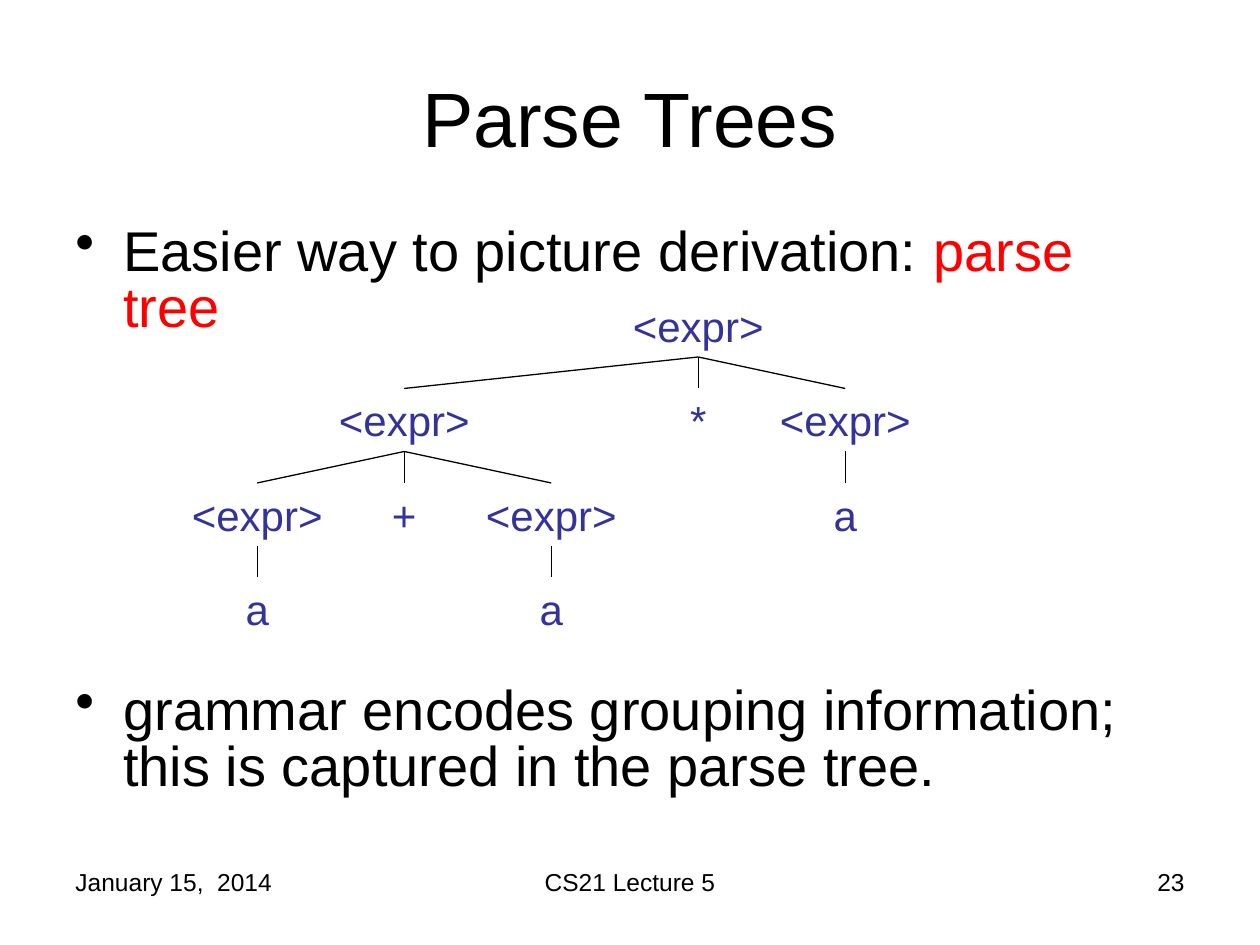
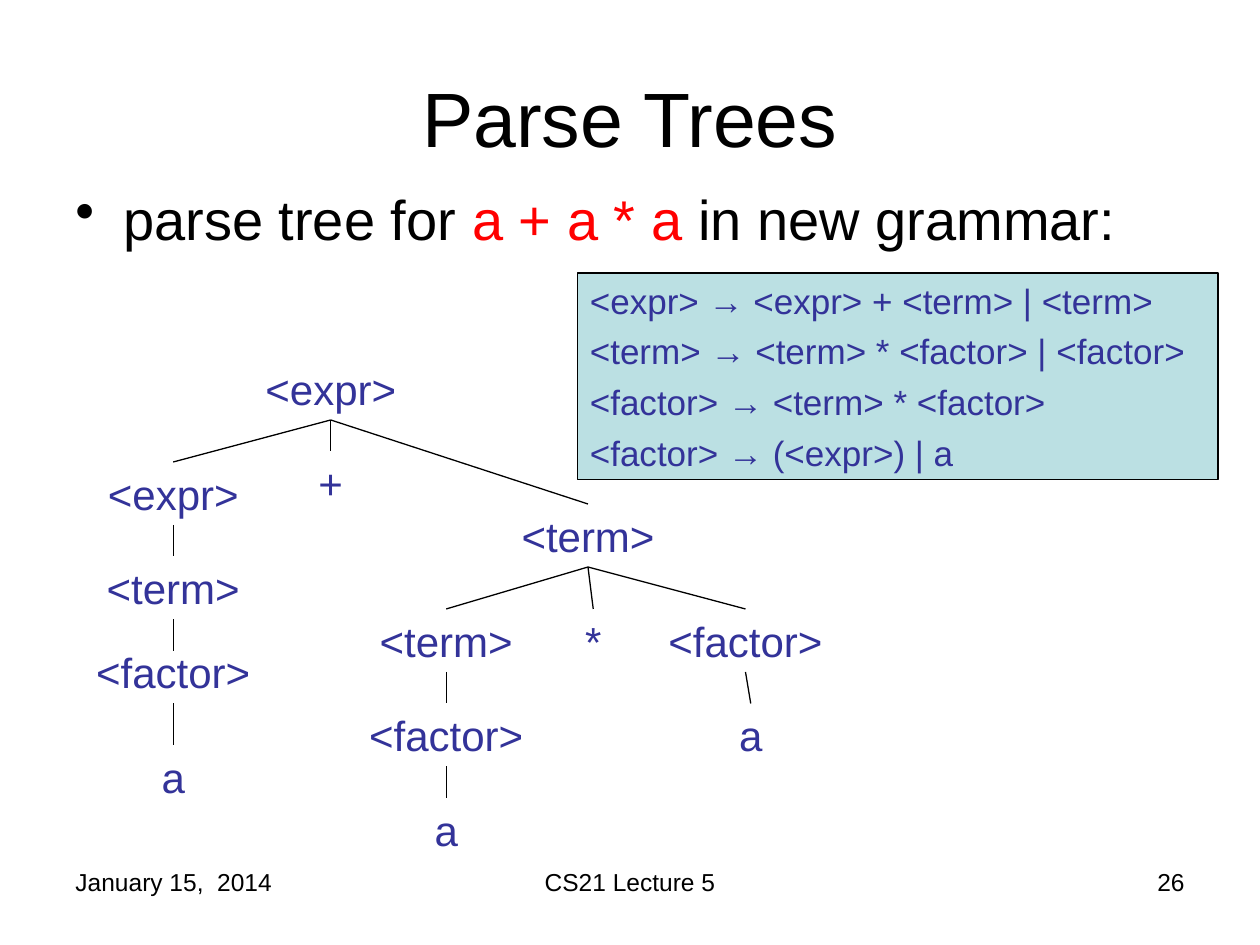
from dataclasses import dataclass
from typing import NamedTuple

from lxml import etree
from pptx import Presentation
from pptx import util as u
from pptx.dml.color import RGBColor
from pptx.enum import shapes, text
from pptx.oxml import ns

COLUMNS, ROWS = 120, 90
CELL = u.Inches(10) // COLUMNS
NODE_ROWS = 6
LABEL_COLUMNS = {"<expr>": 15, "<term>": 17, "<factor>": 27}
SYMBOL_COLUMNS = 5


@dataclass(frozen=True)
class Theme:
    font: str = "Arial"
    ink: str = "000000"
    accent: str = "FF0000"
    grammar: str = "333399"
    panel: str = "BBE0E3"
    title_size: int = 44
    body_size: int = 32
    node_size: int = 24
    rule_size: int = 20
    footer_size: int = 14
    line_width: float = 0.75


THEME = Theme()


class Area(NamedTuple):
    column: float
    row: float
    columns: float
    rows: float


class Piece(NamedTuple):
    wording: str
    color: str = THEME.ink


class Bullet(NamedTuple):
    area: Area
    pieces: tuple[Piece, ...]
    line_spacing: float = 1.0


class Node(NamedTuple):
    label: str
    center: float
    row: float
    children: tuple["Node", ...] = ()
    columns: float | None = None
    edge_overlap: float = 0


class Footer(NamedTuple):
    area: Area
    alignment: text.PP_ALIGN


FOOTERS = (
    Footer(Area(6, 82, 28, 6.2), text.PP_ALIGN.LEFT),
    Footer(Area(41, 82, 38, 6.2), text.PP_ALIGN.CENTER),
    Footer(Area(86, 82, 28, 6.2), text.PP_ALIGN.RIGHT),
)
TITLE_AREA = Area(6, 3.6, 108, 15)


def place(area: Area) -> list[int]:
    return [round(cells * CELL) for cells in area]


def style_paragraph(paragraph, size: int, color: str, alignment=text.PP_ALIGN.LEFT) -> None:
    paragraph.alignment = alignment
    for run in paragraph.runs:
        run.font.name = THEME.font
        run.font.size = u.Pt(size)
        run.font.color.rgb = RGBColor.from_string(color)


def add_text(slide, area: Area, wording: str, size: int, color: str = THEME.ink,
             alignment=text.PP_ALIGN.LEFT, anchor=text.MSO_ANCHOR.TOP):
    text_frame = slide.shapes.add_textbox(*place(area)).text_frame
    text_frame.word_wrap = True
    text_frame.vertical_anchor = anchor
    text_frame.text = wording
    style_paragraph(text_frame.paragraphs[0], size, color, alignment)
    return text_frame


def add_bullet(slide, bullet: Bullet) -> None:
    text_frame = add_text(slide, bullet.area, "", THEME.body_size)
    paragraph = text_frame.paragraphs[0]
    properties = paragraph._p.get_or_add_pPr()
    indent = u.Inches(0.38)
    properties.set("marL", str(indent))
    properties.set("indent", str(-indent))
    bullet_color = etree.SubElement(properties, ns.qn("a:buClr"))
    etree.SubElement(bullet_color, ns.qn("a:srgbClr"), val=THEME.ink)
    etree.SubElement(properties, ns.qn("a:buChar"), char="•")
    paragraph.line_spacing = bullet.line_spacing
    for piece in bullet.pieces:
        paragraph.add_run().text = piece.wording
    style_paragraph(paragraph, THEME.body_size, THEME.ink)
    for run, piece in zip(paragraph.runs, bullet.pieces):
        run.font.color.rgb = RGBColor.from_string(piece.color)


def add_branch(slide, parent: Node, child: Node) -> None:
    ends = (parent.center, parent.row + NODE_ROWS, child.center, child.row + child.edge_overlap)
    connector = slide.shapes.add_connector(
        shapes.MSO_CONNECTOR.STRAIGHT, *(round(cells * CELL) for cells in ends))
    connector.line.color.rgb = RGBColor.from_string(THEME.ink)
    connector.line.width = u.Pt(THEME.line_width)
    etree.SubElement(connector._element.spPr, ns.qn("a:effectLst"))


def add_tree(slide, node: Node) -> None:
    columns = node.columns or LABEL_COLUMNS.get(node.label, SYMBOL_COLUMNS)
    area = Area(node.center - columns / 2, node.row, columns, NODE_ROWS)
    add_text(slide, area, node.label, THEME.node_size, THEME.grammar, text.PP_ALIGN.CENTER)
    for child in node.children:
        add_branch(slide, node, child)
        add_tree(slide, child)


def add_grammar(slide, area: Area, rules: tuple[str, ...]) -> None:
    panel = slide.shapes.add_shape(shapes.MSO_SHAPE.RECTANGLE, *place(area))
    panel.shadow.inherit = False
    panel.fill.solid()
    panel.fill.fore_color.rgb = RGBColor.from_string(THEME.panel)
    panel.line.color.rgb = RGBColor.from_string(THEME.ink)
    panel.line.width = u.Pt(THEME.line_width)
    text_frame = panel.text_frame
    text_frame.word_wrap = True
    text_frame.vertical_anchor = text.MSO_ANCHOR.TOP
    text_frame.text = "\n".join(rules)
    for index, paragraph in enumerate(text_frame.paragraphs):
        style_paragraph(paragraph, THEME.rule_size, THEME.grammar)
        if index:
            paragraph.space_before = u.Pt(5)


def add_tree_slide(presentation, number: int, bullets: tuple[Bullet, ...], tree: Node):
    slide = presentation.slides.add_slide(presentation.slide_layouts[6])
    footer_wording = ("January 15,  2014", "CS21 Lecture 5", str(number))
    for footer, wording in zip(FOOTERS, footer_wording):
        add_text(slide, footer.area, wording, THEME.footer_size, alignment=footer.alignment)
    add_text(slide, TITLE_AREA, "Parse Trees", THEME.title_size,
             alignment=text.PP_ALIGN.CENTER, anchor=text.MSO_ANCHOR.MIDDLE)
    for bullet in bullets:
        add_bullet(slide, bullet)
    add_tree(slide, tree)
    return slide


DERIVATION_BULLETS = (
    Bullet(Area(6, 21, 108, 12), (
        Piece("Easier way to picture derivation: "),
        Piece("parse tree", THEME.accent),
    ), 0.83),
    Bullet(Area(6, 64.75, 108, 12), (
        Piece("grammar encodes grouping information; this is captured in the parse tree."),
    ), 0.83),
)

LEVELS = [28 + 9 * depth for depth in range(4)]

DERIVATION_TREE = Node("<expr>", 66.5, LEVELS[0], (
    Node("<expr>", 38.5, LEVELS[1], (
        Node("<expr>", 24.5, LEVELS[2], (Node("a", 24.5, LEVELS[3]),)),
        Node("+", 38.5, LEVELS[2]),
        Node("<expr>", 52.5, LEVELS[2], (Node("a", 52.5, LEVELS[3]),)),
    )),
    Node("*", 66.5, LEVELS[1]),
    Node("<expr>", 80.5, LEVELS[1], (Node("a", 80.5, LEVELS[2]),)),
))

NEW_GRAMMAR_BULLETS = (
    Bullet(Area(6, 17, 108, 9), (
        Piece("parse tree for "),
        Piece("a + a * a ", THEME.accent),
        Piece("in new grammar:"),
    )),
)

NEW_GRAMMAR_TREE = Node("<expr>", 31.5, 34, (
    Node("<expr>", 16.5, 44, (
        Node("<term>", 16.5, 53, (
            Node("<factor>", 16.5, 61, (Node("a", 16.5, 71),), edge_overlap=1),
        )),
    )),
    Node("+", 31.5, 43),
    Node("<term>", 56, 48, (
        Node("<term>", 42.5, 58, (
            Node("<factor>", 42.5, 67, (Node("a", 42.5, 76),)),
        )),
        Node("*", 56.5, 58),
        Node("<factor>", 71, 58, (Node("a", 71.5, 67),), columns=18),
    ), columns=16),
))

GRAMMAR_RULES = (
    "<expr> → <expr> + <term> | <term>",
    "<term> → <term> * <factor> | <factor>",
    "<factor> → <term> * <factor>",
    "<factor> → (<expr>) | a",
)


def main() -> None:
    presentation = Presentation()
    presentation.slide_width = COLUMNS * CELL
    presentation.slide_height = ROWS * CELL
    add_tree_slide(presentation, 23, DERIVATION_BULLETS, DERIVATION_TREE)
    slide = add_tree_slide(presentation, 26, NEW_GRAMMAR_BULLETS, NEW_GRAMMAR_TREE)
    add_grammar(slide, Area(55, 26, 61, 19.7), GRAMMAR_RULES)
    presentation.save("out.pptx")


if __name__ == "__main__":
    main()
